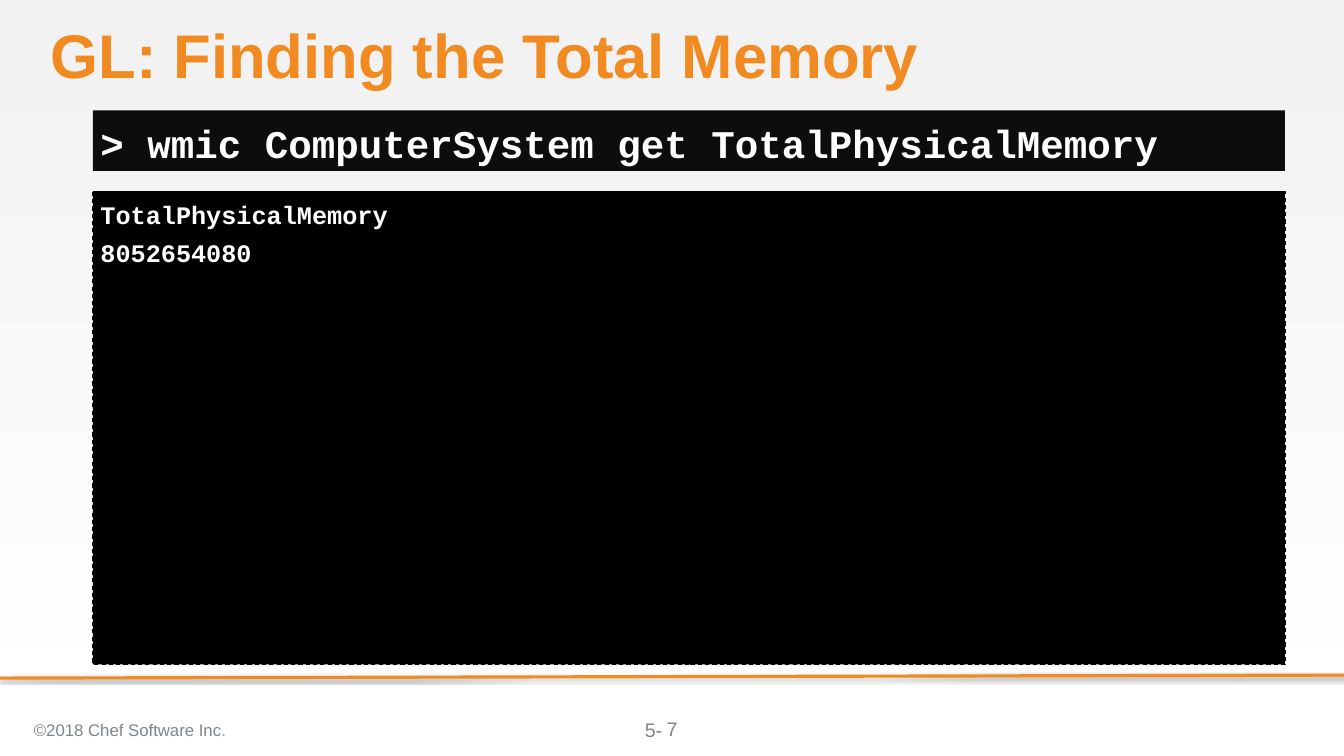
from lxml.etree import SubElement
from pptx import Presentation
from pptx.dml.color import RGBColor
from pptx.enum.dml import MSO_LINE
from pptx.enum.shapes import MSO_CONNECTOR, MSO_SHAPE
from pptx.enum.text import MSO_ANCHOR, PP_ALIGN
from pptx.oxml.ns import qn
from pptx.util import Inches, Pt

WIDTH, HEIGHT = 17.78, 10
COLORS = {
    "sky": "F2F2F2",
    "paper": "FFFFFF",
    "accent": "F18B21",
    "command": "0D0D0D",
    "console": "000000",
    "muted": "7D868C",
    "stop": "929494",
}
TERMINAL_LEFT, TERMINAL_WIDTH = 1.23, 15.77


def color(name):
    """Return the named colour."""
    return RGBColor.from_string(COLORS[name])


def write(shape, lines, size, ink, font="Arial", bold=False, anchor=MSO_ANCHOR.TOP,
          align=PP_ALIGN.LEFT, insets=(0.1, 0.05, 0.1, 0.05), gap=0):
    """Fill a shape with evenly formatted lines and return its text frame."""
    frame = shape.text_frame
    frame.text = "\n".join(lines)
    frame.word_wrap = True
    frame.vertical_anchor = anchor
    (frame.margin_left, frame.margin_top,
     frame.margin_right, frame.margin_bottom) = map(Inches, insets)
    for index, para in enumerate(frame.paragraphs):
        para.alignment = align
        para.space_before = Pt(gap if index else 0)
        for span in para.runs:
            span.font.name = font
            span.font.size = Pt(size)
            span.font.bold = bold
            span.font.color.rgb = color(ink)
    return frame


def add_label(page, box, text, size, ink, **style):
    """Add a one-line text box."""
    label = page.shapes.add_textbox(*map(Inches, box))
    return write(label, [text], size, ink, **style)


def add_panel(page, box, fill, lines, size, **style):
    """Add a terminal panel with bold monospaced text."""
    panel = page.shapes.add_shape(MSO_SHAPE.RECTANGLE, *map(Inches, box))
    panel.shadow.inherit = False
    panel.fill.solid()
    panel.fill.fore_color.rgb = color(fill)
    panel.line.fill.background()
    write(panel, lines, size, "paper", font="Courier New", bold=True, **style)
    return panel


def add_background(page):
    """Shade the page from grey at the top to white."""
    fill = page.background.fill
    fill.gradient()
    fill.gradient_angle = 270
    for stop, name, position in zip(fill.gradient_stops, ("sky", "paper"), (0, 1)):
        stop.color.rgb = color(name)
        stop.position = position


def add_title(page, box):
    """Add the slide title."""
    frame = add_label(page, box, "GL: Finding the Total Memory", 58.7, "accent",
                      bold=True, insets=(0, 0, 0, 0))
    frame.paragraphs[0].line_spacing = 0.9


def add_terminal(page, left, width):
    """Add the command bar and the output panel below it."""
    add_panel(page, (left, 1.46, width, 0.8), "command",
              ["> wmic ComputerSystem get TotalPhysicalMemory"], 37.3,
              anchor=MSO_ANCHOR.MIDDLE, insets=(0.1, 0.05, 0, 0))
    output = add_panel(page, (left, 2.53, width, 6.26), "console",
                       ["TotalPhysicalMemory", "8052654080"], 24,
                       insets=(0.1, 0.1, 0.1, 0.05), gap=8)
    output.line.color.rgb = color("console")
    output.line.width = Pt(1)
    output.line.dash_style = MSO_LINE.DASH


def add_rule(page, right_end, left_end):
    """Add the shadowed footer rule across the page."""
    rule = page.shapes.add_connector(
        MSO_CONNECTOR.STRAIGHT, *map(Inches, (*right_end, *left_end)))
    rule.line.color.rgb = color("accent")
    rule.line.width = Pt(3)
    effects = SubElement(rule._element.spPr, qn("a:effectLst"))
    shadow = SubElement(effects, qn("a:outerShdw"), blurRad=str(Pt(3.1)),
                        dist=str(Pt(1.8)), dir="5400000", rotWithShape="0")
    shade = SubElement(shadow, qn("a:srgbClr"), val=COLORS["console"])
    SubElement(shade, qn("a:alpha"), val="35000")


def add_footer(page, top):
    """Add the copyright line and the page number."""
    notice = add_label(page, (0.35, top, 6.21, 0.56), "©2018 Chef Software Inc",
                       16, "muted", anchor=MSO_ANCHOR.MIDDLE)
    span = notice.paragraphs[0].add_run()
    span.text = "."
    span.font.name = "Arial"
    span.font.size = Pt(16)
    span.font.color.rgb = color("stop")
    add_label(page, (8.53, top + 0.11, 0.76, 0.31), "5-", 18.7, "muted",
              insets=(0, 0, 0, 0))
    add_label(page, ((WIDTH - 4) / 2, top, 4, 0.53), "7", 18.7, "muted",
              anchor=MSO_ANCHOR.MIDDLE, align=PP_ALIGN.CENTER)


def main():
    """Build and save the slide."""
    deck = Presentation()
    deck.slide_width, deck.slide_height = Inches(WIDTH), Inches(HEIGHT)
    page = deck.slides.add_slide(deck.slide_layouts[6])
    add_background(page)
    add_rule(page, (WIDTH, 8.93), (0, 8.97))
    add_title(page, (0.67, 0.33, 16.33, 0.91))
    add_terminal(page, TERMINAL_LEFT, TERMINAL_WIDTH)
    add_footer(page, 9.38)
    deck.save("out.pptx")


if __name__ == "__main__":
    main()
